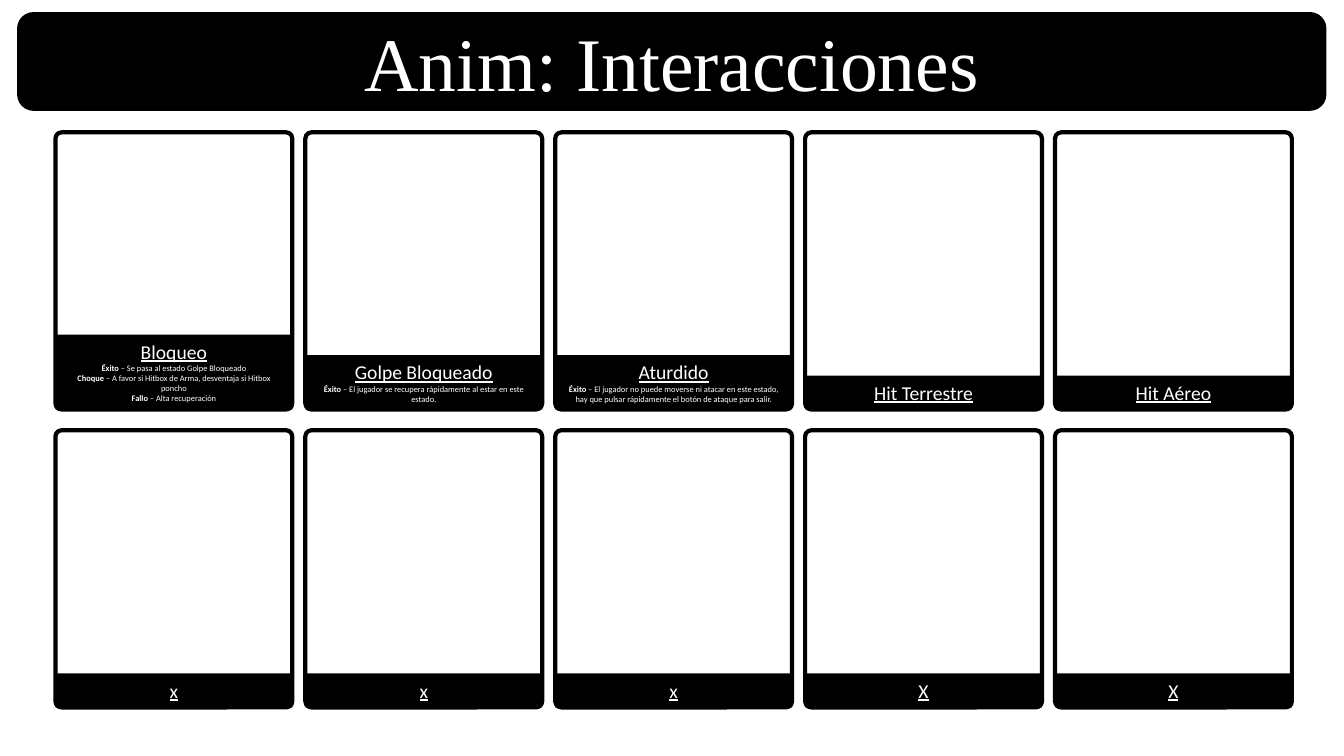
from pptx import Presentation
from pptx.dml.color import RGBColor
from pptx.enum.shapes import MSO_SHAPE
from pptx.enum.text import MSO_ANCHOR, MSO_AUTO_SIZE, PP_ALIGN
from pptx.util import Pt

INK = {"black": "000000", "white": "FFFFFF"}

# Card grid, in points
LEFT, STEP = 39.6, 178.5
TOPS = (94.5, 307.3)
WIDE, HIGH = 169.2, 198
HEAD, LINE = 24.2, 7.3  # caption height: heading, plus each line of notes

# Each card: name, lines its notes fill, notes as (label, text)
CARDS = (
    (
        ("Bloqueo", 4, (
            ("Éxito", " – Se pasa al estado Golpe Bloqueado"),
            ("Choque", " – A favor si Hitbox de Arma, desventaja si Hitbox poncho"),
            ("Fallo", " – Alta recuperación"),
        )),
        ("Golpe Bloqueado", 2, (
            ("Éxito", " – El jugador se recupera rápidamente al estar en este estado."),
        )),
        ("Aturdido", 2, (
            ("Éxito", " – El jugador no puede moverse ni atacar en este estado, "
                      "hay que pulsar rápidamente el botón de ataque para salir."),
        )),
        ("Hit Terrestre", 0, ()),
        ("Hit Aéreo", 0, ()),
    ),
    tuple((name, 0, ()) for name in "xxxXX"),
)


def color(name):
    return RGBColor.from_string(INK[name])


def add_run(para, text, size, face="Calibri", bold=False, under=False):
    run = para.add_run()
    run.text = text
    font = run.font
    font.size, font.name = Pt(size), face
    font.bold, font.underline = bold, under
    font.color.rgb = color("white")


def add_box(slide, kind, x, y, w, h, fill=True):
    box = slide.shapes.add_shape(kind, Pt(x), Pt(y), Pt(w), Pt(h))
    box.shadow.inherit = False
    if fill:
        box.fill.solid()
        box.fill.fore_color.rgb = color("black")
        box.line.fill.background()
    else:
        box.fill.background()
        box.line.color.rgb = color("black")
        box.line.width = Pt(3)
    return box


def add_title(slide, text):
    place = 12.2, 8.6, 935.3, 70.6
    add_box(slide, MSO_SHAPE.ROUNDED_RECTANGLE, *place)
    title = slide.shapes.title
    title.left, title.top, title.width, title.height = map(Pt, place)
    # Bring the text in front of its banner
    slide.shapes._spTree.append(title._element)
    frame = title.text_frame
    frame.vertical_anchor = MSO_ANCHOR.MIDDLE
    para = frame.paragraphs[0]
    para.alignment = PP_ALIGN.CENTER
    add_run(para, text, 54, "Times New Roman")


def add_frame(slide, x, y):
    box = add_box(slide, MSO_SHAPE.ROUNDED_RECTANGLE, x, y, WIDE, HIGH, False)
    box.adjustments[0] = 0.026


def add_label(slide, x, y, name, lines, notes):
    high = HEAD + LINE * lines
    box = add_box(slide, MSO_SHAPE.RECTANGLE, x, y + HIGH - high, WIDE, high)
    frame = box.text_frame
    frame.word_wrap = True
    frame.auto_size = MSO_AUTO_SIZE.SHAPE_TO_FIT_TEXT
    frame.vertical_anchor = MSO_ANCHOR.TOP
    para = frame.paragraphs[0]
    para.alignment = PP_ALIGN.CENTER
    add_run(para, name, 14, under=True)
    for label, text in notes:
        para = frame.add_paragraph()
        para.alignment = PP_ALIGN.CENTER
        add_run(para, label, 6, bold=True)
        add_run(para, text, 6)


def main():
    deck = Presentation()
    deck.slide_width, deck.slide_height = Pt(960), Pt(540)
    slide = deck.slides.add_slide(deck.slide_layouts[5])

    # Banner
    add_title(slide, "Anim: Interacciones")

    # Two rows of cards
    for y, row in zip(TOPS, CARDS):
        for i, card in enumerate(row):
            x = LEFT + STEP * i
            add_frame(slide, x, y)
            add_label(slide, x, y, *card)

    deck.save("out.pptx")


if __name__ == "__main__":
    main()
